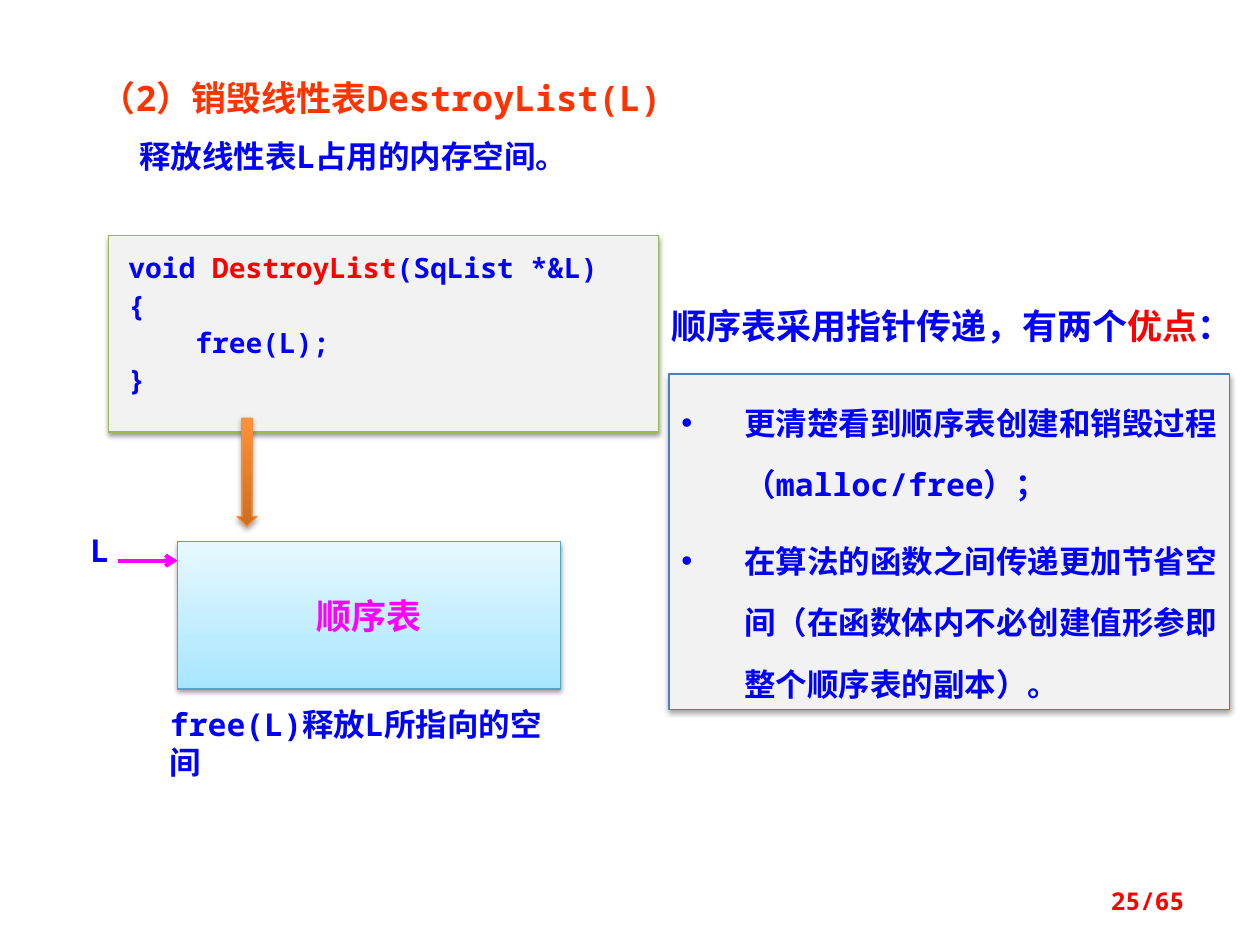
from dataclasses import dataclass
from typing import Optional

from lxml.etree import SubElement
from pptx import Presentation
from pptx.dml.color import RGBColor as RGB
from pptx.enum.shapes import MSO_CONNECTOR as Link, MSO_SHAPE as Kind
from pptx.enum.text import MSO_ANCHOR as Anchor, PP_ALIGN as Align
from pptx.oxml.ns import qn
from pptx.util import Pt


@dataclass(frozen=True)
class Theme:
    mono: str = "Noto Sans Mono"
    sans: str = "Noto Sans CJK SC"
    blue: str = "0000FF"
    red: str = "FF0000"
    orange: str = "FF3300"
    pink: str = "FF00FF"
    grey: str = "F2F2F2"
    green: str = "98B955"
    steel: str = "4B7EBC"
    teal: str = "46AAC5"
    amber: str = "F69240"
    sky: tuple = ("A7E6FF", "E7F8FF")
    flame: tuple = ("CC6E20", "FF9136")
    head: int = 20
    body: int = 18
    code: int = 16
    foot: int = 14


T = Theme()


@dataclass
class Para:
    runs: list  # plain text, or (text, colour) where the colour differs
    size: int = T.body
    color: str = T.blue
    font: str = T.mono
    align: Align = Align.LEFT
    lead: Optional[object] = None
    before: float = 0
    indent: float = 0
    bullet: bool = False


@dataclass
class Box:
    at: tuple
    paras: list
    kind: Optional[Kind] = None
    fill: object = None
    line: str = ""
    inset: tuple = (7.2, 3.6)
    anchor: Anchor = Anchor.TOP
    fade: int = 38


def write(para, item: Para) -> None:
    para.alignment = item.align
    para.space_before = Pt(item.before)
    if item.lead:
        para.line_spacing = item.lead
    props = para._p.get_or_add_pPr()
    if item.indent:
        props.set("marL", str(Pt(item.indent)))
    if item.bullet:
        props.set("indent", str(-Pt(item.indent)))
        SubElement(props, qn("a:buFont"), typeface="Arial")
        SubElement(props, qn("a:buChar"), char="•")
    font = para.font
    font.name, font.size, font.bold = item.font, Pt(item.size), True
    font.color.rgb = RGB.from_string(item.color)
    SubElement(props.find(qn("a:defRPr")), qn("a:ea"), typeface=T.sans)
    for part in item.runs:
        text, color = part if isinstance(part, tuple) else (part, "")
        run = para.add_run()
        run.text = text
        if color:
            run.font.color.rgb = RGB.from_string(color)


def shade(shape, fade: int) -> None:
    shape.shadow.inherit = False
    effects = shape._element.spPr.find(qn("a:effectLst"))
    outer = SubElement(effects, qn("a:outerShdw"), blurRad=str(Pt(3.1)),
                       dist=str(Pt(1.6)), dir="5400000", rotWithShape="0")
    color = SubElement(outer, qn("a:srgbClr"), val="000000")
    SubElement(color, qn("a:alpha"), val=str(fade * 1000))


def paint(shape, box: Box) -> None:
    if isinstance(box.fill, tuple):
        shape.fill.gradient()
        shape.fill.gradient_angle = 90
        for stop, color in zip(shape.fill.gradient_stops, box.fill):
            stop.color.rgb = RGB.from_string(color)
    else:
        shape.fill.solid()
        shape.fill.fore_color.rgb = RGB.from_string(box.fill)
    shape.line.color.rgb = RGB.from_string(box.line)
    shape.line.width = Pt(0.75)
    shade(shape, box.fade)


def draw(slide, box: Box) -> None:
    place = [Pt(v) for v in box.at]
    if box.kind is None:
        shape = slide.shapes.add_textbox(*place)
    else:
        shape = slide.shapes.add_shape(box.kind, *place)
        paint(shape, box)
    frame = shape.text_frame
    frame.word_wrap = True
    frame.vertical_anchor = box.anchor
    frame.margin_left = frame.margin_right = Pt(box.inset[0])
    frame.margin_top = frame.margin_bottom = Pt(box.inset[1])
    for i, item in enumerate(box.paras):
        write(frame.add_paragraph() if i else frame.paragraphs[0], item)


def point(slide, start: tuple, end: tuple) -> None:
    ends = [Pt(v) for v in start + end]
    line = slide.shapes.add_connector(Link.STRAIGHT, *ends)
    line.line.color.rgb = RGB.from_string(T.pink)
    line.line.width = Pt(2.25)
    SubElement(line.line._get_or_add_ln(), qn("a:tailEnd"), type="arrow")
    SubElement(line._element.spPr, qn("a:effectLst"))


def code(text: str) -> Para:
    return Para([text], T.code, lead=0.8, before=6)


def point_item(text: str, before: float = 0) -> Para:
    return Para([text], lead=Pt(35), before=before, indent=36, bullet=True)


BOXES = [
    # Code listing
    Box((61.9, 134.6, 314.6, 112.3),
        [Para(["void ", ("DestroyList", T.red), "(SqList *&L)"], T.code),
         code("{"), code("    free(L);"), code("}")],
        Kind.RECTANGLE, T.grey, T.green, (11.5, 8.6)),
    # Heading
    Box((50.4, 28.1, 351.4, 79.9),
        [Para(["（2）销毁线性表DestroyList(L)"], T.head, T.orange, lead=1.5),
         Para(["释放线性表L占用的内存空间。"], lead=1.5, indent=22)]),
    # Memory diagram
    Box((44.6, 300.2, 22.3, 28.8), [Para(["L"])]),
    Box((90, 399.6, 241.9, 28.8), [Para(["free(L)释放L所指向的空间"])]),
    Box((101.5, 309.6, 218.9, 84.2),
        [Para(["顺序表"], T.head, T.pink, T.sans, Align.CENTER)],
        Kind.RECTANGLE, T.sky, T.teal, anchor=Anchor.MIDDLE),
    Box((135.4, 239, 11.5, 61.9), [], Kind.DOWN_ARROW, T.flame, T.amber,
        fade=35),
    # Advantages
    Box((376.6, 170.6, 337.7, 31.7),
        [Para(["顺序表采用指针传递，有两个", ("优点", T.red), "："],
              T.head, font=T.sans)]),
    Box((382.3, 213.8, 320.4, 191.5),
        [point_item("更清楚看到顺序表创建和销毁过程（malloc/free）；"),
         point_item("在算法的函数之间传递更加节省空间（在函数体内不必创建值形参"
                    "即整个顺序表的副本）。", 9)],
        Kind.RECTANGLE, T.grey, T.steel),
    # Page number
    Box((516.2, 500.4, 167.8, 28.8),
        [Para(["25/65"], T.foot, T.red, align=Align.RIGHT)],
        anchor=Anchor.MIDDLE),
]


def main() -> None:
    deck = Presentation()
    deck.slide_width, deck.slide_height = Pt(720), Pt(540)
    slide = deck.slides.add_slide(deck.slide_layouts[6])
    for box in BOXES:
        draw(slide, box)
    point(slide, (67.7, 320.4), (101.5, 320.4))
    deck.save("out.pptx")


if __name__ == "__main__":
    main()
